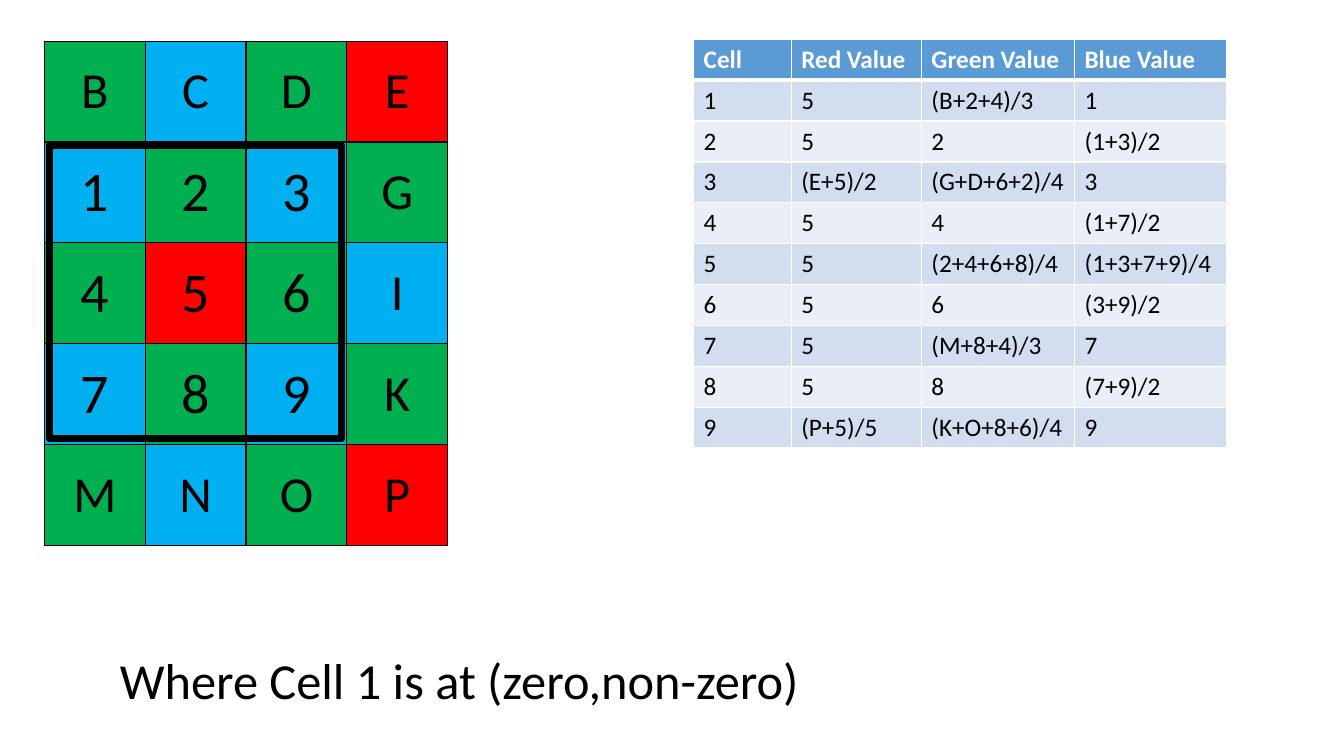
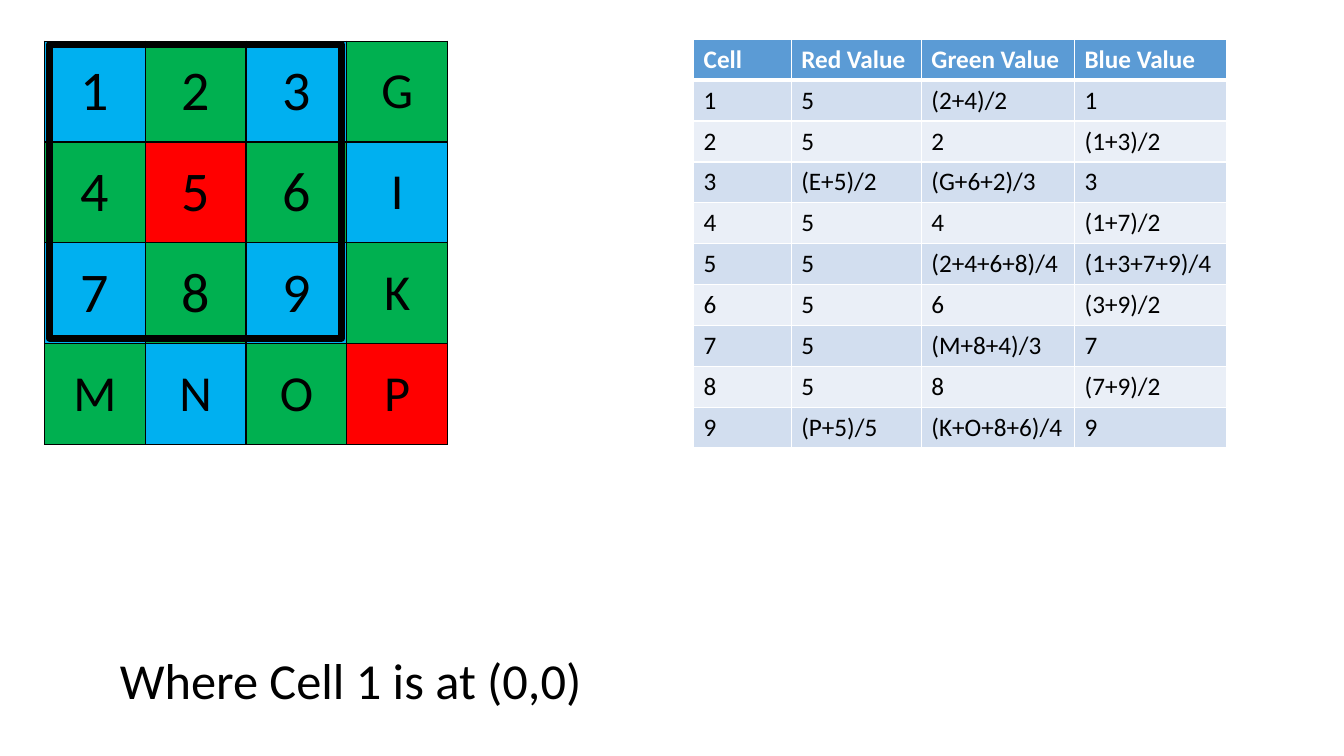
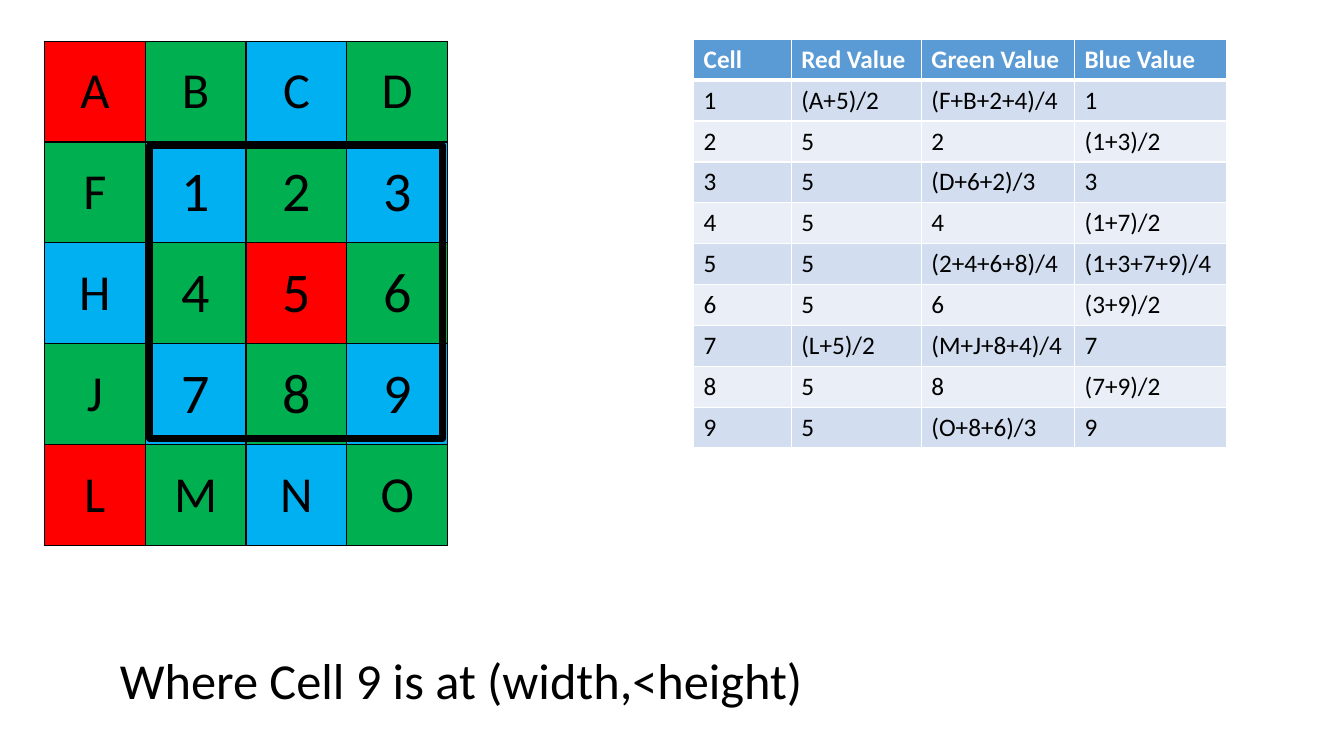
from pptx import Presentation
from pptx.dml.color import RGBColor
from pptx.enum.shapes import MSO_SHAPE
from pptx.enum.text import MSO_ANCHOR, MSO_AUTO_SIZE, PP_ALIGN
from pptx.oxml.ns import qn
from pptx.util import Cm, Pt
from lxml.etree import SubElement

BLACK = RGBColor(0x00, 0x00, 0x00)
WHITE = RGBColor(0xFF, 0xFF, 0xFF)
RED = RGBColor(0xFF, 0x00, 0x00)
GREEN = RGBColor(0x00, 0xB0, 0x50)
BLUE = RGBColor(0x00, 0xB0, 0xF0)
HEADER = RGBColor(0x5B, 0x9B, 0xD5)
BANDS = (RGBColor(0xD2, 0xDE, 0xEF), RGBColor(0xEA, 0xEF, 0xF7))
FONT = "Calibri"

# Mosaic geometry, in centimetres
PIXEL = 2.54
MOSAIC_LEFT, MOSAIC_TOP = 1.12, 1.04

# Colour of each sensor pixel; all others are green
RED_PIXELS = "AELP5"
BLUE_PIXELS = "CHIN1379"

HEADINGS = ("Cell", "Red Value", "Green Value", "Blue Value")
COLUMN_WIDTHS = (2.46, 3.28, 3.86, 3.84)
BLUE_VALUES = ("1", "(1+3)/2", "3", "(1+7)/2", "(1+3+7+9)/4",
               "(3+9)/2", "7", "(7+9)/2", "9")

# Red and green formulas of the cells that depend on the position
CASES = (
    {
        "caption": "Where Cell 1 is at (zero,non-zero)",
        "caption_width": 17.78,
        "mosaic": ("BCDE", "123G", "456I", "789K", "MNOP"),
        "red": {3: "(E+5)/2", 9: "(P+5)/5"},
        "green": {1: "(B+2+4)/3", 3: "(G+D+6+2)/4",
                  7: "(M+8+4)/3", 9: "(K+O+8+6)/4"},
    },
    {
        "caption": "Where Cell 1 is at (0,0)",
        "caption_width": 12.27,
        "mosaic": ("123G", "456I", "789K", "MNOP"),
        "red": {3: "(E+5)/2", 9: "(P+5)/5"},
        "green": {1: "(2+4)/2", 3: "(G+6+2)/3",
                  7: "(M+8+4)/3", 9: "(K+O+8+6)/4"},
    },
    {
        "caption": "Where Cell 9 is at (width,<height)",
        "caption_width": 17.88,
        "mosaic": ("ABCD", "F123", "H456", "J789", "LMNO"),
        "red": {1: "(A+5)/2", 7: "(L+5)/2"},
        "green": {1: "(F+B+2+4)/4", 3: "(D+6+2)/3",
                  7: "(M+J+8+4)/4", 9: "(O+8+6)/3"},
    },
)


def pixel_color(name):
    if name in RED_PIXELS:
        return RED
    return BLUE if name in BLUE_PIXELS else GREEN


def value_rows(case):
    """Rows of the formula table, one for each cell of the 3 by 3 window."""
    rows = [HEADINGS]
    for number, blue in enumerate(BLUE_VALUES, start=1):
        red = case["red"].get(number, "5")
        default_green = "(2+4+6+8)/4" if number == 5 else str(number)
        green = case["green"].get(number, default_green)
        rows.append((str(number), red, green, blue))
    return rows


class Deck:
    def __init__(self):
        self.presentation = Presentation()
        self.presentation.slide_width = Cm(33.87)
        self.presentation.slide_height = Cm(19.05)
        self.slide = None

    def new_slide(self):
        layout = self.presentation.slide_layouts[6]
        self.slide = self.presentation.slides.add_slide(layout)

    def set_text(self, text_frame, text, size, color=BLACK, bold=False):
        text_frame.text = text
        paragraph = text_frame.paragraphs[0]
        font = paragraph.runs[0].font
        font.name, font.size, font.bold = FONT, Pt(size), bold
        font.color.rgb = color
        return paragraph

    def table(self, left, top, widths, row_height, row_count):
        frame = self.slide.shapes.add_table(
            row_count, len(widths), Cm(left), Cm(top),
            Cm(sum(widths)), Cm(row_height * row_count))
        table = frame.table
        table.first_row = table.horz_banding = False
        for column, width in zip(table.columns, widths):
            column.width = Cm(width)
        for row in table.rows:
            row.height = Cm(row_height)
        return table

    def paint_cell(self, cell, fill, border, top=1, bottom=1):
        properties = cell._tc.get_or_add_tcPr()
        for side, width in (("L", 1), ("R", 1), ("T", top), ("B", bottom)):
            line = SubElement(properties, qn(f"a:ln{side}"), w=str(Pt(width)))
            solid = SubElement(line, qn("a:solidFill"))
            SubElement(solid, qn("a:srgbClr"), val=str(border))
        cell.fill.solid()
        cell.fill.fore_color.rgb = fill

    def mosaic(self, rows):
        table = self.table(MOSAIC_LEFT, MOSAIC_TOP, [PIXEL] * len(rows[0]),
                           PIXEL, len(rows))
        for row_index, row in enumerate(rows):
            for column_index, name in enumerate(row):
                cell = table.cell(row_index, column_index)
                self.paint_cell(cell, pixel_color(name), BLACK)
                cell.vertical_anchor = MSO_ANCHOR.MIDDLE
                size = 40 if name.isdigit() else 36
                paragraph = self.set_text(cell.text_frame, name, size)
                paragraph.alignment = PP_ALIGN.CENTER
            if "1" in row:
                window = row.index("1"), row_index
        self.window_frame(*window)

    def window_frame(self, column, row):
        shape = self.slide.shapes.add_shape(
            MSO_SHAPE.RECTANGLE,
            Cm(MOSAIC_LEFT + column * PIXEL + 0.12),
            Cm(MOSAIC_TOP + row * PIXEL + 0.09), Cm(7.37), Cm(7.39))
        shape.shadow.inherit = False
        shape.fill.background()
        shape.line.color.rgb = BLACK
        shape.line.width = Pt(5)

    def value_table(self, rows):
        table = self.table(17.48, 0.99, COLUMN_WIDTHS, 1.03, len(rows))
        for row_index, row in enumerate(rows):
            header = row_index == 0
            fill = HEADER if header else BANDS[(row_index - 1) % 2]
            for column_index, text in enumerate(row):
                cell = table.cell(row_index, column_index)
                self.paint_cell(cell, fill, WHITE,
                                top=3 if row_index == 1 else 1,
                                bottom=3 if header else 1)
                self.set_text(cell.text_frame, text, 18,
                              WHITE if header else BLACK, header)

    def caption(self, text, width):
        box = self.slide.shapes.add_textbox(Cm(2.77), Cm(16.23),
                                            Cm(width), Cm(1.8))
        text_frame = box.text_frame
        text_frame.word_wrap = False
        text_frame.auto_size = MSO_AUTO_SIZE.SHAPE_TO_FIT_TEXT
        self.set_text(text_frame, text, 36)


def main():
    deck = Deck()
    for case in CASES:
        deck.new_slide()
        deck.mosaic(case["mosaic"])
        deck.value_table(value_rows(case))
        deck.caption(case["caption"], case["caption_width"])
    deck.presentation.save("out.pptx")


if __name__ == "__main__":
    main()
